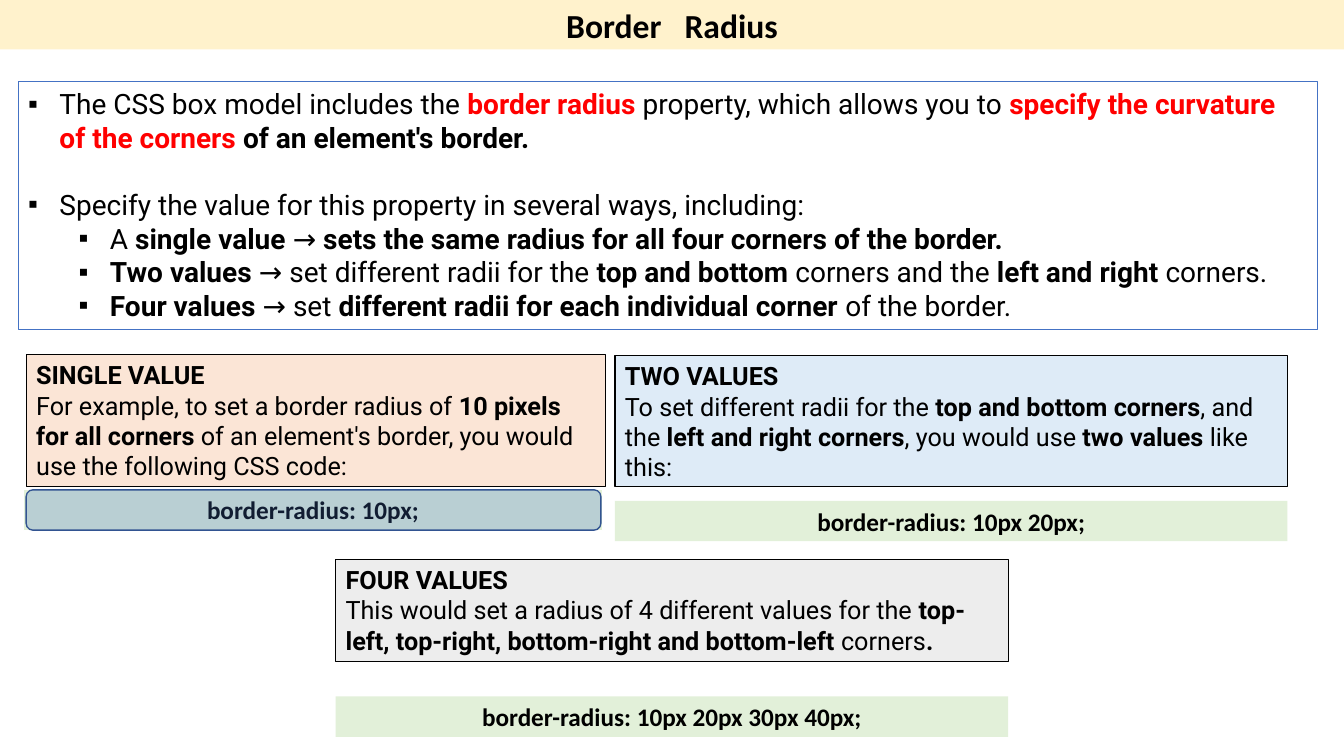
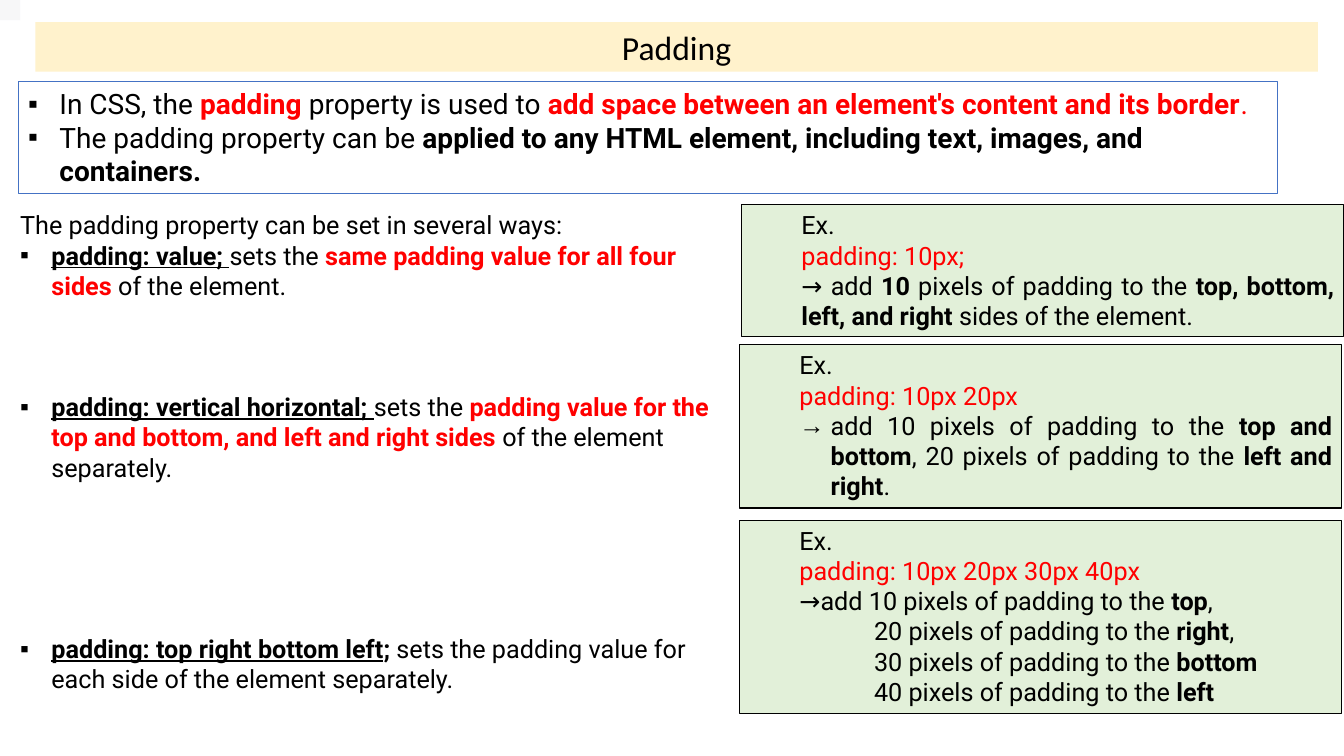
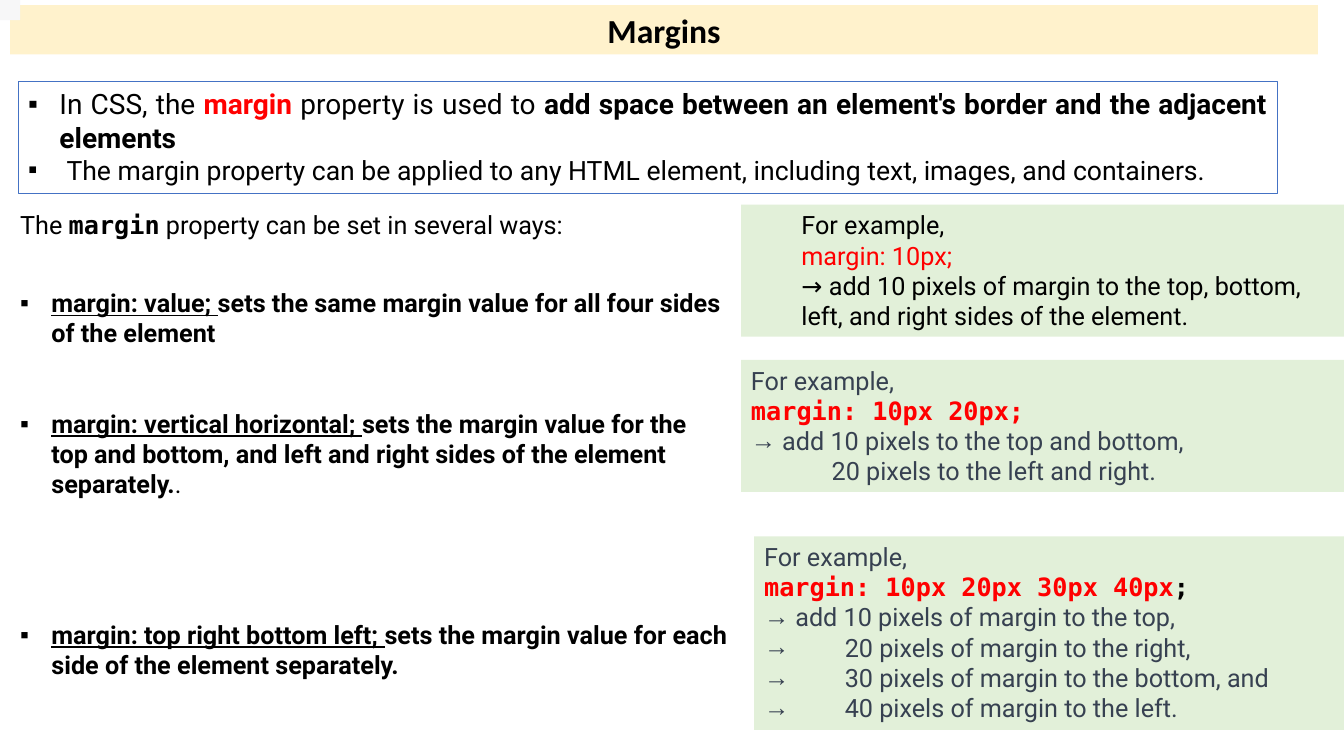
import pptx
import pptx.dml.color
import pptx.enum.shapes
import pptx.enum.text
import pptx.oxml.ns
import pptx.util
from lxml import etree

Inches = pptx.util.Inches
Pt = pptx.util.Pt
RGBColor = pptx.dml.color.RGBColor
Align = pptx.enum.text.PP_ALIGN
Shape = pptx.enum.shapes.MSO_SHAPE
qn = pptx.oxml.ns.qn

BLACK = RGBColor(0x00, 0x00, 0x00)
WHITE = RGBColor(0xFF, 0xFF, 0xFF)
RED = RGBColor(0xFF, 0x00, 0x00)
SLATE = RGBColor(0x37, 0x41, 0x51)
BLUE = RGBColor(0x44, 0x72, 0xC4)
NAVY = RGBColor(0x32, 0x54, 0x91)
CREAM = RGBColor(0xFF, 0xF2, 0xCC)
PEACH = RGBColor(0xFB, 0xE5, 0xD6)
SKY = RGBColor(0xDE, 0xEB, 0xF7)
GREEN = RGBColor(0xE2, 0xF0, 0xD9)
SILVER = RGBColor(0xED, 0xED, 0xED)
CORNER_GRAY = RGBColor(0xF7, 0xF7, 0xF8)

HANG = 0.31
SQUARE, ARROW = "▪", "→"
TITLE_BODY, TWO_BODIES = 1, 3
MONO = "DejaVu Sans Mono"


def bold(text, **style):
    return text, {"bold": True, **style}


def red(text, **style):
    return text, {"color": RED, **style}


def red_bold(text, **style):
    return red(text, bold=True, **style)


def para(*runs, bullet=None, indent=0, hang=0, after=0, align=None, level=0, **font):
    runs = [(run, {}) if isinstance(run, str) else run for run in runs]
    if len(runs) == 1:
        font = {**font, **runs[0][1]}
        runs = [(runs[0][0], {})]
    return {"runs": runs, "bullet": bullet, "indent": indent, "hang": hang,
            "after": after, "align": align, "level": level, "font": font}


def item(*runs, bullet=SQUARE, indent=HANG, hang=HANG, **options):
    return para(*runs, bullet=bullet, indent=indent, hang=hang, **options)


def inset(*runs, indent=0.5, **options):
    return para(*runs, indent=indent, **options)


class Deck:
    """Holds the shared style and the slide being built."""

    def __init__(self):
        self.deck = pptx.Presentation()
        self.deck.slide_width = Inches(13.33)
        self.deck.slide_height = Inches(7.5)

    def new_slide(self, layout):
        self.slide = self.deck.slides.add_slide(self.deck.slide_layouts[layout])

    def place(self, shape, left, top, width, height):
        shape.left, shape.top = Inches(left), Inches(top)
        shape.width, shape.height = Inches(width), Inches(height)

    def paint(self, shape, fill=None, line=None, weight=0.75):
        if fill is None:
            shape.fill.background()
        else:
            shape.fill.solid()
            shape.fill.fore_color.rgb = fill
        if line is None:
            shape.line.fill.background()
        else:
            shape.line.color.rgb = line
            shape.line.width = Pt(weight)

    def style_font(self, font, name=None, size=None, color=None, **flags):
        if name:
            font.name = name
        if size:
            font.size = Pt(size)
        if color is not None:
            font.color.rgb = color
        for flag, value in flags.items():
            setattr(font, flag, value)

    def set_bullet(self, paragraph, content):
        properties = paragraph._p.get_or_add_pPr()
        properties.set("marL", str(Inches(content["indent"])))
        properties.set("indent", str(-Inches(content["hang"])))
        if content["bullet"]:
            etree.SubElement(properties, qn("a:buFont")).set("typeface", "Arial")
            etree.SubElement(properties, qn("a:buChar")).set("char", content["bullet"])
        else:
            etree.SubElement(properties, qn("a:buNone"))

    def set_text(self, shape, paragraphs, anchor=pptx.enum.text.MSO_ANCHOR.TOP, **base):
        frame = shape.text_frame
        frame.word_wrap = True
        frame.auto_size = pptx.enum.text.MSO_AUTO_SIZE.NONE
        frame.vertical_anchor = anchor
        base = {"name": "Roboto", "size": 18, "color": BLACK, "bold": False, **base}
        for index, content in enumerate(paragraphs):
            paragraph = frame.add_paragraph() if index else frame.paragraphs[0]
            paragraph.alignment = content["align"] or Align.LEFT
            paragraph.level = content["level"]
            paragraph.line_spacing = 1.0
            paragraph.space_before = Pt(0)
            paragraph.space_after = Pt(content["after"])
            self.set_bullet(paragraph, content)
            self.style_font(paragraph.font, **{**base, **content["font"]})
            for text, style in content["runs"]:
                run = paragraph.add_run()
                run.text = text
                tracking = style.get("tracking")
                if tracking:
                    run._r.get_or_add_rPr().set("spc", str(tracking * 100))
                self.style_font(run.font, **{k: v for k, v in style.items() if k != "tracking"})

    def title(self, left, top, width, *runs, bold=True):
        band = self.slide.shapes.title
        self.place(band, left, top, width, 0.49)
        self.paint(band, CREAM)
        band.text_frame.margin_top = band.text_frame.margin_bottom = Inches(0.04)
        self.set_text(band, [para(*runs, align=Align.CENTER)],
                      pptx.enum.text.MSO_ANCHOR.MIDDLE, name="Calibri", size=24, bold=bold)

    def body(self, index, box, paragraphs, line=None, size=18):
        listing = self.slide.placeholders[index]
        self.place(listing, *box)
        self.paint(listing, line=line)
        self.set_text(listing, paragraphs, size=size)

    def intro(self, width, height, paragraphs):
        self.body(1, (0.18, 0.81, width, height), paragraphs, BLUE, 20)

    def panel(self, box, paragraphs=(), fill=GREEN, line=None, weight=0.75,
              preset=Shape.RECTANGLE, **base):
        panel = self.slide.shapes.add_shape(preset, *map(Inches, box))
        panel.shadow.inherit = False
        self.paint(panel, fill, line, weight)
        self.set_text(panel, paragraphs, **base)
        return panel

    def code_bar(self, left, top, width, code, line=None):
        self.panel((left, top, width, 0.4), [para(code, align=Align.CENTER)],
                   line=line, name="Calibri", bold=True)

    def glass(self, box):
        glass = self.panel(box, fill=BLUE, line=NAVY, weight=1, preset=Shape.ROUNDED_RECTANGLE)
        color = glass._element.spPr.find(qn("a:solidFill"))[0]
        etree.SubElement(color, qn("a:alpha")).set("val", "26000")

    def corner(self):
        self.panel((0, 0, 0.2, 0.2), fill=CORNER_GRAY)


def border_radius(deck):
    deck.new_slide(TITLE_BODY)
    deck.title(0, 0, 13.33, "Border", (" ", {"tracking": 11}), "Radius")
    sub = {"indent": 0.81, "level": 1}
    deck.intro(12.89, 2.46, [
        item("The CSS box model includes the ", red_bold("border radius "),
             "property, which allows you to ",
             red_bold("specify the curvature of the corners"),
             bold(" of an element's border."), after=24),
        item("Specify the value for this property in several ways, including:"),
        item("A ", bold("single value "), "→ ",
             bold("sets the same radius for all four corners of the border."), **sub),
        item(bold("Two values "), "→ set different radii for the ", bold("top and bottom "),
             "corners and the ", bold("left and right "), "corners.", **sub),
        item(bold("Four values "), "→ set ",
             bold("different radii for each individual corner "), "of the border.", **sub),
    ])
    deck.panel((0.26, 3.52, 5.75, 1.31), [
        para(bold("SINGLE VALUE")),
        para("For example, to set a border radius of ", bold("10 pixels for all corners "),
             "of an element's border, you would use the following CSS code:"),
    ], PEACH, BLACK)
    deck.code_bar(0.23, 4.86, 5.75, "border-radius: 10px;", WHITE)
    deck.panel((6.1, 3.53, 6.67, 1.3), [
        para(bold("TWO VALUES")),
        para("To set different radii for the ", bold("top and bottom corners"), ", and the ",
             bold("left and right corners"), ", you would use ", bold("two values "),
             "like this:"),
    ], SKY, BLACK)
    deck.code_bar(6.1, 4.97, 6.67, "border-radius: 10px 20px;")
    deck.panel((3.33, 5.55, 6.67, 1.01), [
        para(bold("FOUR VALUES")),
        para("This would set a radius of 4 different values for the ",
             bold("top-left, top-right, bottom-right and bottom-left "), "corners", bold(".")),
    ], SILVER, BLACK)
    deck.code_bar(3.33, 6.91, 6.67, "border-radius: 10px 20px 30px 40px;")
    deck.glass((0.26, 4.86, 5.7, 0.4))


def padding(deck):
    deck.new_slide(TWO_BODIES)
    deck.title(0.35, 0.22, 12.72, "Padding", bold=False)
    deck.intro(12.49, 1.11, [
        item("In CSS, the ", red_bold("padding "), "property is used to ",
             red_bold("add space between an element's content and its border"), red(".")),
        item("The padding property can be ",
             bold("applied to any HTML element, including text, images, and containers.")),
    ])
    deck.body(2, (0.1, 2.03, 7.22, 4.64), [
        para("The padding property can be set in several ways:"),
        item(bold("padding: value; ", underline=True), "sets the ",
             red_bold("same padding value for all four sides "), "of the element.", after=65),
        item(bold("padding: vertical horizontal; ", underline=True), "sets the ",
             red_bold("padding value for the top and bottom, and left and right sides "),
             "of the element separately.", after=108),
        item(bold("padding: top right bottom left", underline=True), bold("; "),
             "sets the padding value for each side of the element separately."),
    ])
    examples = [
        (7.35, 2.03, 1.31, "padding: 10px;", [
            inset("→ add ", bold("10"), " pixels of padding to the ",
                  bold("top, bottom, left, and right "), "sides of the element.",
                  align=Align.JUSTIFY)]),
        (7.33, 3.42, 1.62, "padding: 10px 20px", [
            item("add 10 pixels of padding to the ", bold("top and bottom"),
                 ", 20 pixels of padding to the ", bold("left and right"), ".",
                 bullet=ARROW, indent=0.81, align=Align.JUSTIFY)]),
        (7.33, 5.16, 1.92, "padding: 10px 20px 30px 40px", [
            inset("→add 10 pixels of padding to the ", bold("top"), ","),
            inset("20 pixels of padding to the ", bold("right"), ",", indent=1.24),
            inset("30 pixels of padding to the ", bold("bottom"), indent=1.24),
            inset("40 pixels of padding to the ", bold("left"), indent=1.24)]),
    ]
    for left, top, height, code, effect in examples:
        deck.panel((left, top, 5.98, height),
                   [inset("Ex."), inset(red(code)), *effect], line=BLACK)
    deck.corner()


def margins(deck):
    deck.new_slide(TWO_BODIES)
    deck.title(0.1, 0.05, 12.97, "Margins")
    deck.intro(12.49, 1.11, [
        item("In CSS, the ", red_bold("margin "), "property is used to ",
             bold("add space between an element's border and the adjacent elements"),
             align=Align.JUSTIFY),
        item("The margin property can be applied to any HTML element, "
             "including text, images, and containers.",
             indent=0.38, hang=0.38, size=19, align=Align.JUSTIFY),
    ])
    ways = [
        ("margin: value; ", "sets the same margin value for all four sides of the element",
         "", 43),
        ("margin: vertical horizontal; ",
         "sets the margin value for the top and bottom, and left and right sides "
         "of the element separately.", ".", 86),
        ("margin: top right bottom left; ",
         "sets the margin value for each side of the element separately.", "", 0),
    ]
    deck.body(2, (0.1, 2.03, 7.22, 4.51), [
        para("The ", bold("margin", name=MONO), " property can be set in several ways:",
             after=34),
        *[item(bold(syntax, underline=True), bold(effect), *filter(None, [ending]), after=gap)
          for syntax, effect, ending, gap in ways],
    ])
    deck.panel((7.35, 2.03, 5.98, 1.31), [
        inset("For example,"),
        inset(red("margin: 10px;")),
        inset("→ add 10 pixels of margin to the top, bottom, left, and right sides "
              "of the element."),
    ])
    deck.panel((7.35, 3.57, 5.98, 1.31), [
        para("For example,"),
        para(red_bold("margin: 10px 20px;", name=MONO)),
        item("add 10 pixels to the top and bottom,", bullet=ARROW),
        para("20 pixels to the left and right.", indent=0.8),
    ], color=SLATE)
    sides = ["20 pixels of margin to the right,", "30 pixels of margin to the bottom, and",
             "40 pixels of margin to the left."]
    deck.panel((7.48, 5.32, 5.85, 1.92), [
        para("For example,"),
        para(red("margin: 10px 20px 30px 40px"), (";", {"color": BLACK}), name=MONO, bold=True),
        item("add 10 pixels of margin to the top,", bullet=ARROW),
        *[item(side, bullet=ARROW, indent=0.8, hang=0.8) for side in sides],
    ], color=SLATE)
    deck.corner()


def main():
    deck = Deck()
    for build in (border_radius, padding, margins):
        build(deck)
    deck.deck.save("out.pptx")


if __name__ == "__main__":
    main()
